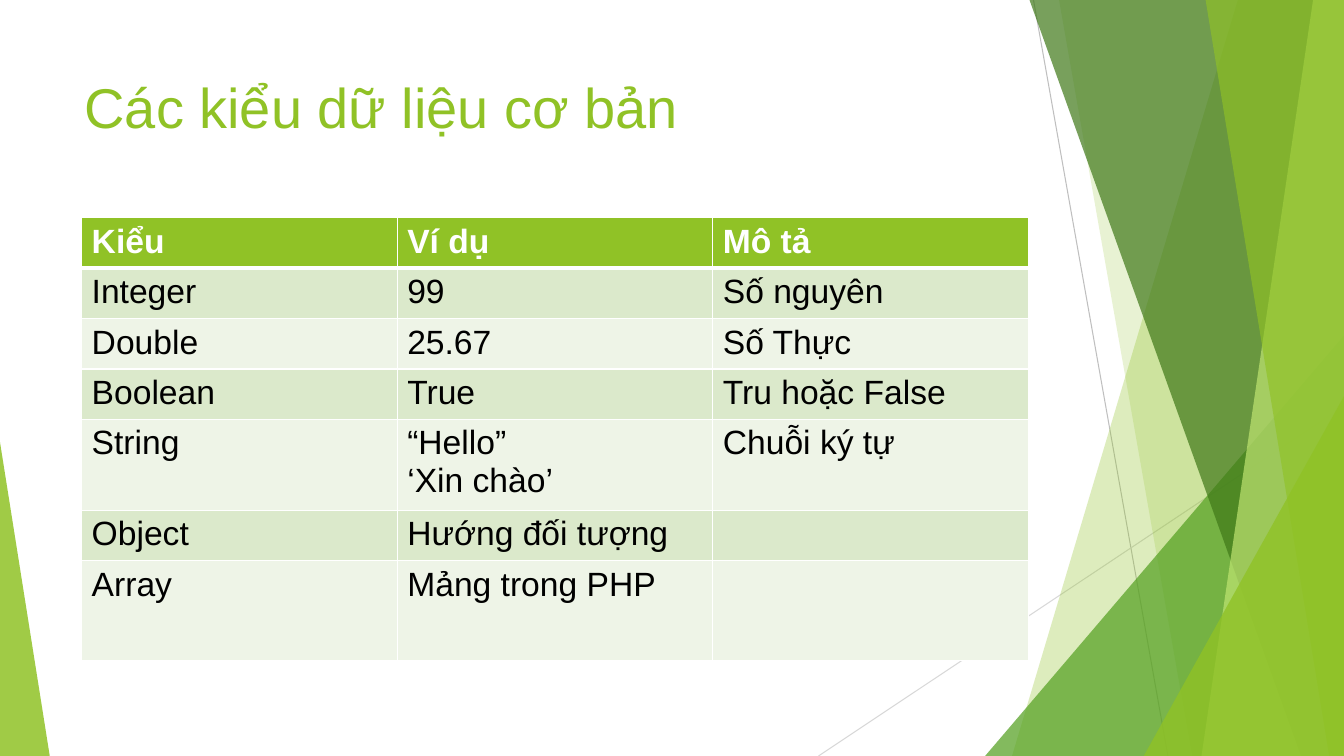
from lxml import etree
from pptx import Presentation
from pptx import util as u
from pptx.dml.color import RGBColor
from pptx.enum import shapes, text
from pptx.oxml.ns import qn

GREEN, WHITE, BLACK = "90C226", "FFFFFF", "000000"
FONT = "Arial"

deck = Presentation()
deck.slide_width, deck.slide_height = u.Inches(13.33), u.Inches(7.5)
W, H = deck.slide_width, deck.slide_height
slide = deck.slides.add_slide(deck.slide_layouts[6])
parts = slide.shapes


def paint(fill, tint, alpha=100):
    fill.solid()
    fill.fore_color.rgb = RGBColor.from_string(tint)
    if alpha < 100:
        node = fill._xPr.find(qn("a:solidFill"))[0]
        etree.SubElement(node, qn("a:alpha"), val=str(alpha * 1000))


def style(para, size, tint, bold=False):
    font = para.font
    font.name, font.size, font.bold = FONT, u.Pt(size), bold
    font.color.rgb = RGBColor.from_string(tint)


# Thin lines behind the facets, as shares of the slide
for x1, y1, x2, y2, tint in [(0.769, 0, 0.869, 1, "BFBFBF"),
                             (1, 0.537, 0.609, 1, "D8D8D8")]:
    line = parts.add_connector(shapes.MSO_CONNECTOR.STRAIGHT, int(x1 * W),
                               int(y1 * H), int(x2 * W), int(y2 * H))
    line.line.color.rgb = RGBColor.from_string(tint)
    line.line.width = u.Pt(0.75)
    etree.SubElement(line._element.spPr, qn("a:effectLst"))

# Facets: bands run from top x to bottom x and fill to the right edge;
# corners are right triangles from left x to right x, below a top y
facets = [
    ("band", 0.921, 0.753, None, GREEN, 30),
    ("band", 0.788, 0.887, None, GREEN, 20),
    ("corner", 0.733, 1, 0.444, "54A021", 72),
    ("band", 0.766, 0.968, None, "3F7818", 70),
    ("band", 0.977, 0.894, None, "BFE471", 70),
    ("band", 0.897, 0.989, None, GREEN, 65),
    ("corner", 0.851, 1, 0.524, GREEN, 80),
    ("corner", 0, 0.037, 0.585, GREEN, 85),
]
for kind, x1, x2, top, tint, alpha in facets:
    if kind == "band":
        pen = parts.build_freeform(int(x1 * W), 0)
        pen.add_line_segments([(W, 0), (W, H), (int(x2 * W), H)])
        facet = pen.convert_to_shape()
    else:
        facet = parts.add_shape(
            shapes.MSO_SHAPE.ISOSCELES_TRIANGLE, int(x1 * W), int(top * H),
            int((x2 - x1) * W), int((1 - top) * H))
        facet.adjustments[0] = 1 if x2 == 1 else 0
    paint(facet.fill, tint, alpha)
    facet.line.fill.background()
    facet.shadow.inherit = False

# Title
box = parts.add_textbox(u.Inches(0.74), u.Inches(0.67),
                        u.Inches(9.4), u.Inches(0.98))
frame = box.text_frame
frame.word_wrap = True
frame.vertical_anchor = text.MSO_ANCHOR.TOP
frame.text = "Các kiểu dữ liệu cơ bản"
style(frame.paragraphs[0], 40, GREEN)

# Table of data types
rows = [
    ("Kiểu", "Ví dụ", "Mô tả"),
    ("Integer", "99", "Số nguyên"),
    ("Double", "25.67", "Số Thực"),
    ("Boolean", "True", "Tru hoặc False"),
    ("String", "“Hello”\n‘Xin chào’", "Chuỗi ký tự"),
    ("Object", "Hướng đối tượng", ""),
    ("Array", "Mảng trong PHP", ""),
]
tall = {4: 0.82, 6: 0.99}
grid = parts.add_table(len(rows), 3, u.Inches(0.81), u.Inches(2.16),
                       u.Inches(9.39), u.Inches(4.11)).table
for r, row in enumerate(rows):
    grid.rows[r].height = u.Inches(tall.get(r, 0.46))
    head = r == 0
    for c, words in enumerate(row):
        cell = grid.cell(r, c)
        cell.text = words
        for para in cell.text_frame.paragraphs:
            style(para, 24, WHITE if head else BLACK, head)
        # White borders, thicker around the header's lower edge
        props = cell._tc.get_or_add_tcPr()
        for side in "LRTB":
            thick = (head and side == "B") or (r == 1 and side == "T")
            edge = etree.SubElement(props, qn("a:ln" + side),
                                    w=str(u.Pt(3 if thick else 1)))
            solid = etree.SubElement(edge, qn("a:solidFill"))
            etree.SubElement(solid, qn("a:srgbClr"), val=WHITE)
        paint(cell.fill, GREEN if head else "DBE9CB" if r % 2 else "EEF4E7")

deck.save("out.pptx")
